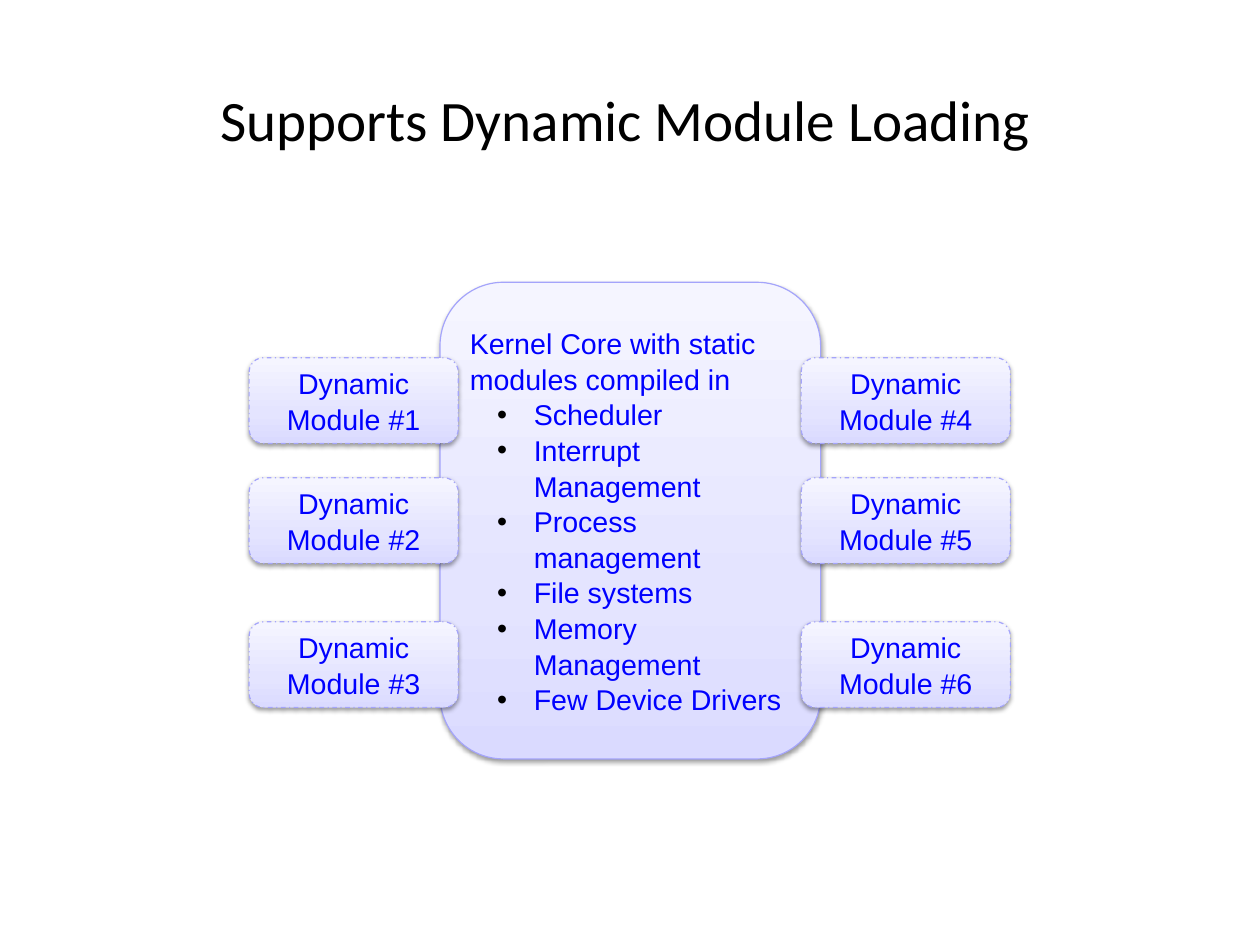
"""Build a slide of a kernel core with dynamic modules on both sides."""
import copy

import lxml.etree
import pptx
import pptx.dml.color
import pptx.enum.dml
import pptx.enum.shapes
import pptx.enum.text
import pptx.oxml.ns
import pptx.util

Inches = pptx.util.Inches
Pt = pptx.util.Pt
RGBColor = pptx.dml.color.RGBColor
qn = pptx.oxml.ns.qn
ALIGN = pptx.enum.text.PP_ALIGN

BLACK = RGBColor(0x00, 0x00, 0x00)
BLUE = RGBColor(0x00, 0x00, 0xFF)
EDGE = RGBColor(0xA4, 0xA4, 0xFB)
SHADES = [
    (0, RGBColor(0xDA, 0xDA, 0xFF)),
    (0.35, RGBColor(0xE4, 0xE4, 0xFF)),
    (1, RGBColor(0xF5, 0xF5, 0xFF)),
]


def write(frame, text, font="Arial", size=18, color=BLUE, align=ALIGN.CENTER,
          gap=1.04, bullet=False):
    frame.word_wrap = True
    frame.vertical_anchor = pptx.enum.text.MSO_ANCHOR.MIDDLE
    para = frame.add_paragraph() if frame.text else frame.paragraphs[0]
    para.alignment = align
    para.line_spacing = gap
    run = para.add_run()
    run.text = text
    run.font.name = font
    run.font.size = Pt(size)
    run.font.color.rgb = color
    if bullet:
        para.level = 1
        props = para._p.get_or_add_pPr()
        props.set("marL", str(Inches(0.56)))
        props.set("indent", str(Inches(-0.32)))
        tint = lxml.etree.SubElement(props, qn("a:buClr"))
        lxml.etree.SubElement(tint, qn("a:srgbClr"), val=str(BLACK))
        lxml.etree.SubElement(props, qn("a:buFont"), typeface="Arial")
        lxml.etree.SubElement(props, qn("a:buChar"), char="•")


def add_box(left, top, width, height, dash=None):
    box = slide.shapes.add_shape(
        pptx.enum.shapes.MSO_SHAPE.ROUNDED_RECTANGLE,
        Inches(left), Inches(top), Inches(width), Inches(height))
    box.fill.gradient()
    box.fill.gradient_angle = 90
    stops = box._element.spPr.find(qn("a:gradFill")).find(qn("a:gsLst"))
    stops.append(copy.deepcopy(stops[-1]))
    for stop, (place, shade) in zip(box.fill.gradient_stops, SHADES):
        stop.position = place
        stop.color.rgb = shade
    box.line.color.rgb = EDGE
    box.line.width = Pt(0.75)
    if dash:
        box.line.dash_style = dash
    box.shadow.inherit = False
    glow = lxml.etree.SubElement(
        box._element.spPr.find(qn("a:effectLst")), qn("a:outerShdw"),
        blurRad=str(Pt(3.1)), dist=str(Pt(1.6)), dir="5400000", rotWithShape="0")
    tint = lxml.etree.SubElement(glow, qn("a:srgbClr"), val=str(BLACK))
    lxml.etree.SubElement(tint, qn("a:alpha"), val="38000")
    return box.text_frame


deck = pptx.Presentation()
deck.slide_width = Inches(28 / 2.54)
deck.slide_height = Inches(21 / 2.54)
slide = deck.slides.add_slide(deck.slide_layouts[6])

title = slide.shapes.add_textbox(
    Inches(0.43), Inches(0.47), Inches(10.08), Inches(1.08)).text_frame
title.margin_left = title.margin_right = 0
title.margin_top = title.margin_bottom = 0
write(title, "Supports Dynamic Module Loading", font="Calibri", size=36,
      color=BLACK, gap=1.08)

core = add_box(3.85, 2.47, 3.33, 4.17)
write(core, "Kernel Core with static modules compiled in", align=ALIGN.LEFT)
for part in ["Scheduler", "Interrupt Management", "Process management",
             "File systems", "Memory Management", "Few Device Drivers"]:
    write(core, part, align=ALIGN.LEFT, bullet=True)

count = 0
for left in (2.18, 7.01):
    for top in (3.13, 4.18, 5.44):
        count += 1
        frame = add_box(left, top, 1.83, 0.75,
                        dash=pptx.enum.dml.MSO_LINE.DASH_DOT)
        write(frame, f"Dynamic Module #{count}")

deck.save("out.pptx")
